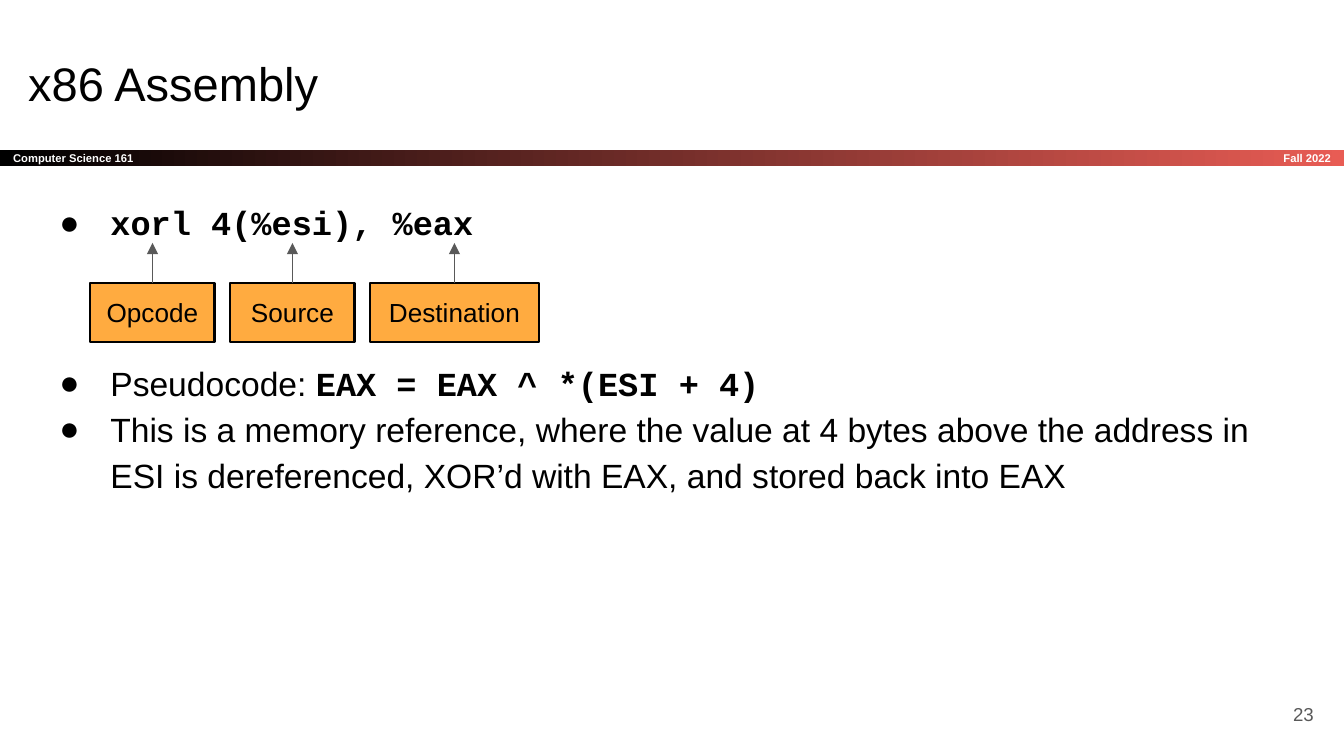
from dataclasses import dataclass

from lxml.etree import SubElement
from pptx import Presentation
from pptx.dml.color import RGBColor
from pptx.enum.shapes import MSO_CONNECTOR as Connector, MSO_SHAPE as Shape
from pptx.enum.text import MSO_ANCHOR as Anchor, PP_ALIGN as Align
from pptx.oxml.ns import qn
from pptx.util import Inches, Pt

EMU_PER_PX = Inches(1) / 134.4


def px(length):
    return round(length * EMU_PER_PX)


@dataclass(frozen=True)
class Theme:
    black: str = "000000"
    white: str = "FFFFFF"
    red: str = "E85C54"
    orange: str = "FFAB40"
    gray: str = "595959"
    sans: str = "Arial"
    mono: str = "Courier New"
    title_size: float = 25.2
    body_size: float = 18
    label_size: float = 14
    number_size: float = 10
    banner_size: float = 6


class SlideBuilder:
    def __init__(self, slide, theme):
        self.slide = slide
        self.theme = theme

    def style(self, font, size=None, color=None, name=None, bold=False):
        font.name = name or self.theme.sans
        font.bold = bold
        if size:
            font.size = Pt(size)
        if color:
            font.color.rgb = RGBColor.from_string(color)

    def fill_text(self, shape, text, size, color, align=Align.LEFT, anchor=Anchor.TOP, bold=False):
        """Put one styled paragraph into a shape."""
        frame = self.prepare(shape, anchor)
        paragraph = frame.paragraphs[0]
        paragraph.text = text
        paragraph.alignment = align
        self.style(paragraph.font, size, color, bold=bold)

    def prepare(self, shape, anchor=Anchor.TOP):
        """Set wrapping, anchor and equal insets of a text frame."""
        frame = shape.text_frame
        frame.word_wrap = True
        frame.vertical_anchor = anchor
        frame.margin_left = frame.margin_right = Inches(0.1)
        frame.margin_top = frame.margin_bottom = Inches(0.1)
        return frame

    def text(self, box, text, size, color, **options):
        shape = self.slide.shapes.add_textbox(*map(px, box))
        self.fill_text(shape, text, size, color, **options)

    def rectangle(self, box):
        shape = self.slide.shapes.add_shape(Shape.RECTANGLE, *map(px, box))
        shape.shadow.inherit = False
        return shape

    def banner(self, box, text):
        shape = self.rectangle(box)
        shape.line.fill.background()
        shape.fill.gradient()
        shape.fill.gradient_angle = 0
        colors = (self.theme.black, self.theme.red)
        for position, (stop, color) in enumerate(zip(shape.fill.gradient_stops, colors)):
            stop.position = position
            stop.color.rgb = RGBColor.from_string(color)
        self.fill_text(shape, text, self.theme.banner_size, self.theme.white,
                       anchor=Anchor.MIDDLE, bold=True)

    def label(self, box, text):
        shape = self.rectangle(box)
        shape.fill.solid()
        shape.fill.fore_color.rgb = RGBColor.from_string(self.theme.orange)
        shape.line.color.rgb = RGBColor.from_string(self.theme.black)
        shape.line.width = Pt(1.5)
        self.fill_text(shape, text, self.theme.label_size, self.theme.black, align=Align.CENTER)
        return shape

    def arrow_up(self, label, tip):
        """Draw an arrow from the top of a label up to the height tip."""
        center = label.left + label.width // 2
        arrow = self.slide.shapes.add_connector(
            Connector.STRAIGHT, center, label.top, center, px(tip))
        arrow.begin_connect(label, 0)
        arrow.line.color.rgb = RGBColor.from_string(self.theme.gray)
        arrow.line.width = Pt(0.75)
        SubElement(arrow.get_or_add_ln(), qn("a:tailEnd"), type="triangle")
        SubElement(arrow._element.spPr, qn("a:effectLst"))

    def bullets(self, box, items):
        """Each item is a space before and a list of (text, is_code) runs."""
        frame = self.prepare(self.slide.shapes.add_textbox(*map(px, box)))
        for index, (space, runs) in enumerate(items):
            paragraph = frame.add_paragraph() if index else frame.paragraphs[0]
            self.add_bullet(paragraph)
            paragraph.line_spacing = 1.15
            paragraph.space_before = Pt(space)
            paragraph.font.size = Pt(self.theme.body_size)
            paragraph.font.color.rgb = RGBColor.from_string(self.theme.black)
            for text, is_code in runs:
                run = paragraph.add_run()
                run.text = text
                name = self.theme.mono if is_code else self.theme.sans
                self.style(run.font, name=name, bold=is_code)

    def add_bullet(self, paragraph):
        properties = paragraph._p.get_or_add_pPr()
        properties.set("marL", str(Inches(0.5)))
        properties.set("indent", str(Inches(-0.38)))
        color = SubElement(properties, qn("a:buClr"))
        SubElement(color, qn("a:srgbClr"), val=self.theme.black)
        SubElement(properties, qn("a:buFont"), typeface=self.theme.sans)
        SubElement(properties, qn("a:buChar"), char="●")


def main():
    presentation = Presentation()
    presentation.slide_width, presentation.slide_height = px(1344), px(756)
    theme = Theme()
    builder = SlideBuilder(presentation.slides.add_slide(presentation.slide_layouts[6]), theme)

    builder.banner((0, 150, 1344, 16), "Computer Science 161")
    builder.text((1121, 150, 223, 16), "Fall 2022", theme.banner_size, theme.white,
                 align=Align.RIGHT, anchor=Anchor.MIDDLE, bold=True)
    builder.bullets((30, 183, 1253, 554), [
        (0, [("xorl 4(%esi), %eax", True)]),
        (61, [("Pseudocode: ", False), ("EAX = EAX ^ *(ESI + 4)", True)]),
        (0, [("This is a memory reference, where the value at 4 bytes above the address in "
              "ESI is dereferenced, XOR’d with EAX, and stored back into EAX", False)]),
    ])
    builder.text((15, 40, 1253, 85), "x86 Assembly", theme.title_size, theme.black,
                 anchor=Anchor.MIDDLE)
    builder.text((1246, 685, 81, 58), "23", theme.number_size, theme.gray,
                 align=Align.RIGHT, anchor=Anchor.MIDDLE)

    left, gap = 90, 15
    for text, width in (("Opcode", 125), ("Source", 125), ("Destination", 169)):
        label = builder.label((left, 283, width, 59), text)
        builder.arrow_up(label, 243)
        left += width + gap

    presentation.save("out.pptx")


if __name__ == "__main__":
    main()
